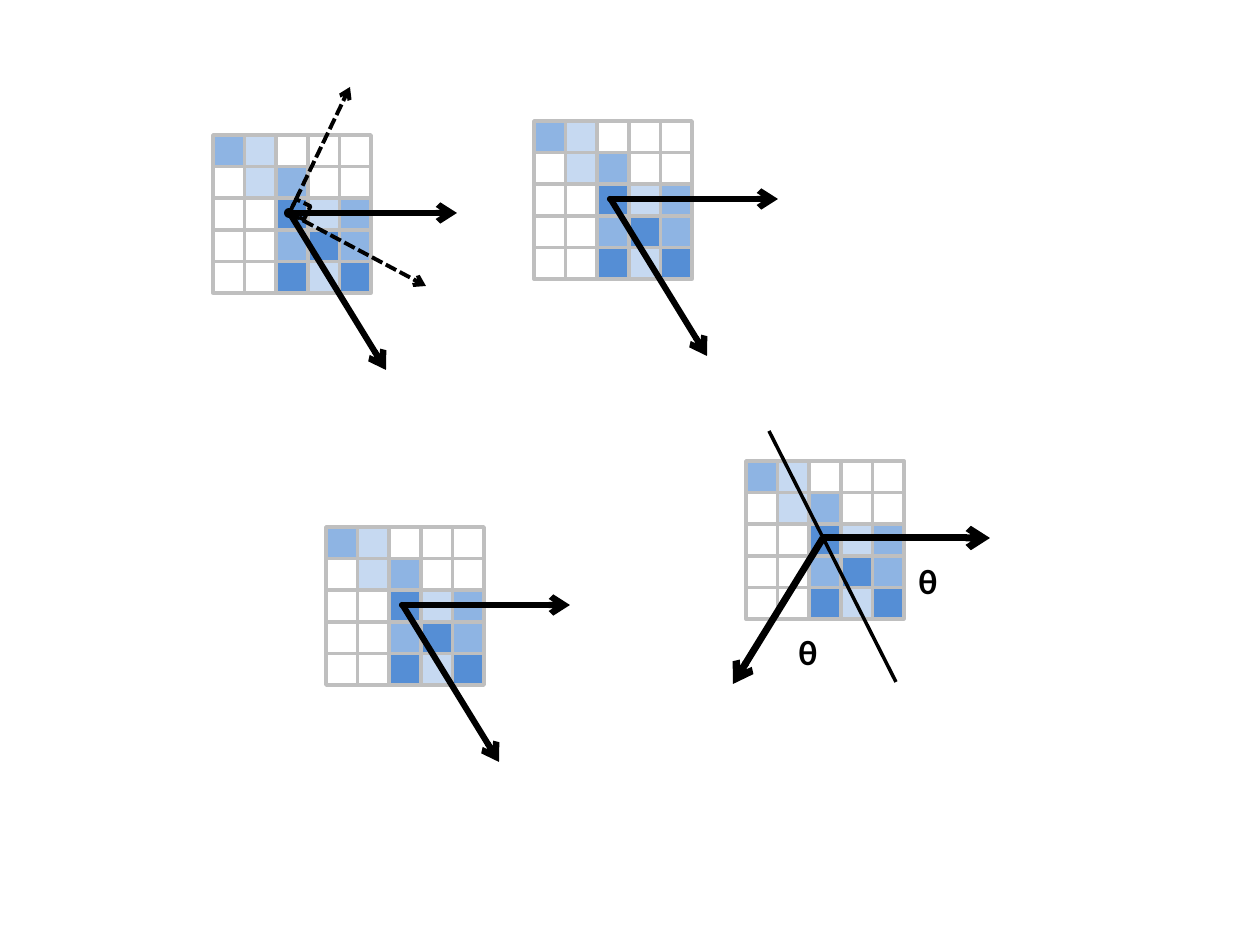
from lxml import etree
from pptx import Presentation
from pptx.dml.color import RGBColor
from pptx.enum.dml import MSO_LINE
from pptx.enum.shapes import MSO_CONNECTOR, MSO_SHAPE
from pptx.enum.text import MSO_AUTO_SIZE
from pptx.oxml.ns import qn
from pptx.util import Inches, Pt

RECT = MSO_SHAPE.RECTANGLE
OVAL = MSO_SHAPE.OVAL
STRAIGHT = MSO_CONNECTOR.STRAIGHT
DASH = MSO_LINE.SQUARE_DOT
FIT_SHAPE = MSO_AUTO_SIZE.SHAPE_TO_FIT_TEXT

PIXEL = 914400 / 126
FONT = "Calibri"
COLORS = {
    "black": "000000",
    "grid": "BFBFBF",
    ".": "FFFFFF",
    "l": "C6D9F1",
    "m": "8EB4E3",
    "d": "558ED5",
}
PATTERN = ["ml...", ".lm..", "..dlm", "..mdm", "..dld"]
GRID_SIZE = 158


def px(value):
    return round(value * PIXEL)


def rgb(name):
    return RGBColor.from_string(COLORS[name])


class Diagram:
    def __init__(self, slide):
        self.slide = slide

    def group(self):
        return self.slide.shapes.add_group_shape().shapes

    def shape(self, parent, kind, box, fill=None, line=None, width=2.25, dash=None):
        shape = parent.add_shape(kind, *map(px, box))
        shape.shadow.inherit = False
        if fill:
            shape.fill.solid()
            shape.fill.fore_color.rgb = rgb(fill)
        else:
            shape.fill.background()
        if line:
            self.stroke(shape.line, line, width, dash)
        else:
            shape.line.fill.background()
        return shape

    def stroke(self, line, color, width, dash=None):
        line.color.rgb = rgb(color)
        line.width = Pt(width)
        if dash:
            line.dash_style = dash

    def line(self, parent, start, end, width, dash=None, arrow=True):
        connector = parent.add_connector(STRAIGHT, *map(px, start + end))
        self.stroke(connector.line, "black", width, dash)
        properties = connector.line._get_or_add_ln()
        if arrow:
            etree.SubElement(properties, qn("a:tailEnd"), type="arrow")
        etree.SubElement(properties.getparent(), qn("a:effectLst"))

    def grid(self, left, top):
        cells = self.group()
        step = GRID_SIZE / len(PATTERN)
        for row, shades in enumerate(PATTERN):
            for column, shade in enumerate(shades):
                box = (left + column * step, top + row * step, step, step)
                self.shape(cells, RECT, box, shade, "grid", 2)
        return cells

    def vectors(self, left, top, dot_line=None):
        parent = self.slide.shapes
        self.line(parent, (left + 76, top + 77), (left + 173, top + 235), 3.5)
        self.line(parent, (left + 76, top + 78), (left + 244, top + 78), 3.5)
        self.shape(parent, OVAL, (left + 73, top + 75, 6, 6), "black", dot_line)

    def label(self, parent, text, left, top):
        box = parent.add_textbox(*map(px, (left, top, 40, 55)))
        frame = box.text_frame
        frame.word_wrap = False
        frame.auto_size = FIT_SHAPE
        run = frame.paragraphs[0].add_run()
        run.text = text
        run.font.name = FONT
        run.font.size = Pt(20)
        run.font.bold = True
        run.font.color.rgb = rgb("black")


deck = Presentation()
deck.slide_width = Inches(10)
deck.slide_height = Inches(7.5)
diagram = Diagram(deck.slides.add_slide(deck.slide_layouts[6]))
canvas = diagram.slide.shapes

diagram.grid(213, 135)
for start, tip in [((289, 214), (350, 87)), ((289, 213), (426, 286))]:
    diagram.line(canvas, start, tip, 2.25, DASH)
diagram.vectors(213, 135, "black")
right_angle = diagram.shape(canvas, RECT, (292, 202, 16, 15), line="black", dash=DASH)
right_angle.rotation = 26.2

for left, top in [(534, 121), (326, 527)]:
    diagram.grid(left, top)
    diagram.vectors(left, top)

reflection = diagram.grid(746, 461)
for start, tip in [((823, 538), (733, 684)), ((822, 538), (990, 538))]:
    diagram.line(reflection, start, tip, 4)
diagram.shape(reflection, OVAL, (820, 537, 6, 6), "black")
diagram.line(reflection, (769, 431), (896, 682), 2, arrow=False)
for left, top in [(786, 624), (906, 553)]:
    diagram.label(reflection, "θ", left, top)

deck.save("out.pptx")
